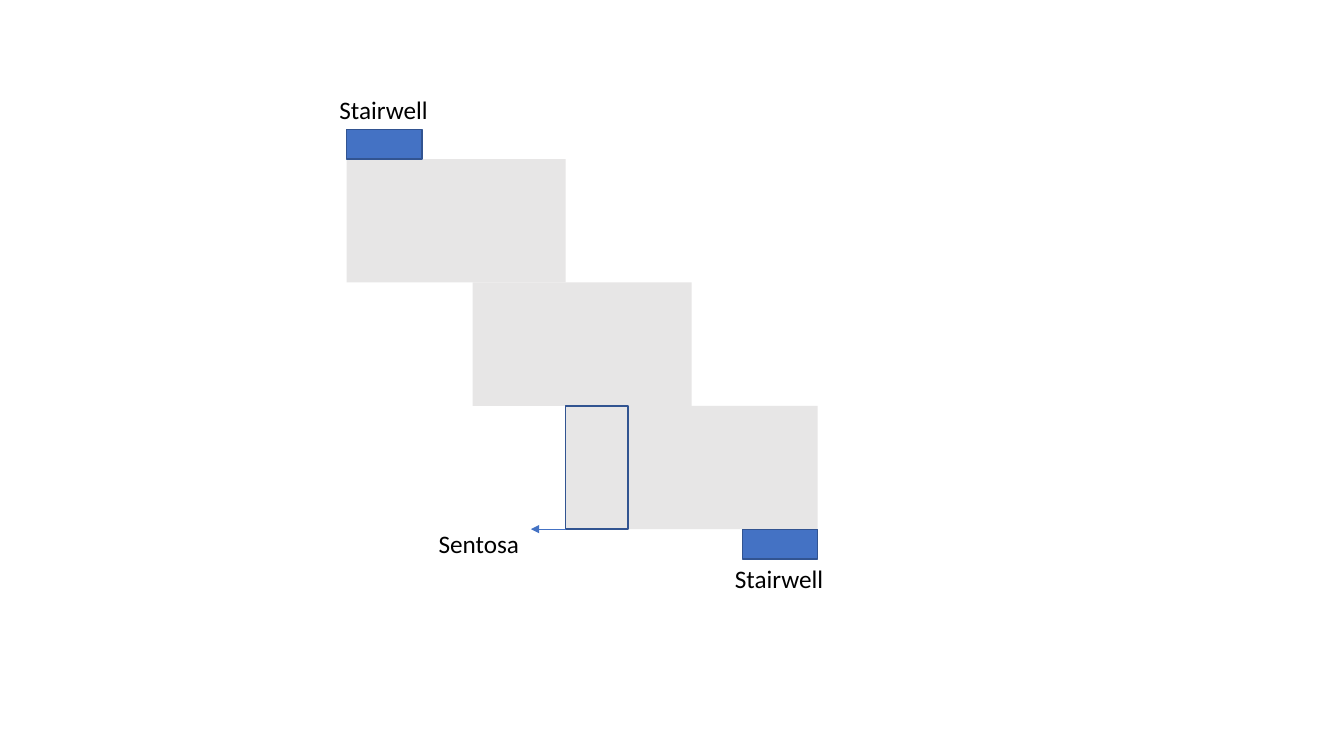
"""Draw a stepped floor plan with two stairwells and an arrow to Sentosa."""
from dataclasses import dataclass

from lxml.etree import SubElement
from pptx import Presentation
from pptx.dml.color import RGBColor
from pptx.enum.shapes import MSO_CONNECTOR, MSO_SHAPE
from pptx.enum.text import MSO_AUTO_SIZE
from pptx.oxml.ns import qn
from pptx.slide import Slide
from pptx.util import Pt


@dataclass(frozen=True)
class Theme:
    floor: str = "E7E6E6"
    stair: str = "4472C4"
    edge: str = "325491"
    ink: str = "000000"
    font: str = "Calibri"
    size: float = 18
    thin: float = 0.5
    thick: float = 1


@dataclass(frozen=True)
class Box:
    left: float
    top: float
    width: float
    height: float
    fill: str
    line: str = ""


@dataclass(frozen=True)
class Label:
    text: str
    left: float
    top: float
    width: float
    height: float = 29


THEME = Theme()
LEFT, TOP = 247.7, 113.7
WIDTH, HEIGHT = 156.3, 88.1
STEP = 90
STAIR_W, STAIR_H = 53.7, 21.3
MID = LEFT + WIDTH
RIGHT = MID + 2 * STEP
BASE = TOP + 3 * HEIGHT
LOW = BASE - HEIGHT

BOXES = [
    Box(MID, LOW, RIGHT - MID, HEIGHT, THEME.floor),
    Box(LEFT + STEP, TOP + HEIGHT, WIDTH, HEIGHT, THEME.floor),
    Box(LEFT, TOP, WIDTH, HEIGHT, THEME.floor),
    Box(MID, LOW, 44.5, HEIGHT, THEME.floor, THEME.edge),
    Box(RIGHT - STAIR_W, BASE, STAIR_W, STAIR_H, THEME.stair, THEME.edge),
    Box(LEFT, TOP - STAIR_H, STAIR_W, STAIR_H, THEME.stair, THEME.edge),
]
LABELS = [
    Label("Sentosa", 306.2, 373.7, 72.7),
    Label("Stairwell", 517.8, 399, 78.5),
    Label("Stairwell", 235.3, 64, 78.5),
]


def draw_box(slide: Slide, box: Box) -> None:
    shape = slide.shapes.add_shape(
        MSO_SHAPE.RECTANGLE, Pt(box.left), Pt(box.top), Pt(box.width), Pt(box.height))
    shape.shadow.inherit = False
    shape.fill.solid()
    shape.fill.fore_color.rgb = RGBColor.from_string(box.fill)
    if box.line:
        shape.line.color.rgb = RGBColor.from_string(box.line)
        shape.line.width = Pt(THEME.thick)
    else:
        shape.line.fill.background()


def draw_label(slide: Slide, label: Label) -> None:
    frame = slide.shapes.add_textbox(
        Pt(label.left), Pt(label.top), Pt(label.width), Pt(label.height)).text_frame
    frame.text = label.text
    frame.word_wrap = False
    frame.auto_size = MSO_AUTO_SIZE.SHAPE_TO_FIT_TEXT
    font = frame.paragraphs[0].runs[0].font
    font.name = THEME.font
    font.size = Pt(THEME.size)
    font.color.rgb = RGBColor.from_string(THEME.ink)


def draw_arrow(slide: Slide, start: float, end: float, top: float) -> None:
    arrow = slide.shapes.add_connector(
        MSO_CONNECTOR.STRAIGHT, Pt(start), Pt(top), Pt(end), Pt(top))
    arrow.line.color.rgb = RGBColor.from_string(THEME.stair)
    arrow.line.width = Pt(THEME.thin)
    SubElement(arrow.line._get_or_add_ln(), qn("a:tailEnd"), type="triangle")
    SubElement(arrow._element.spPr, qn("a:effectLst"))


def main() -> None:
    deck = Presentation()
    deck.slide_width, deck.slide_height = Pt(960), Pt(540)
    slide = deck.slides.add_slide(deck.slide_layouts[6])
    for box in BOXES:
        draw_box(slide, box)
    draw_arrow(slide, MID, 379.2, BASE)
    for label in LABELS:
        draw_label(slide, label)
    deck.save("out.pptx")


if __name__ == "__main__":
    main()
